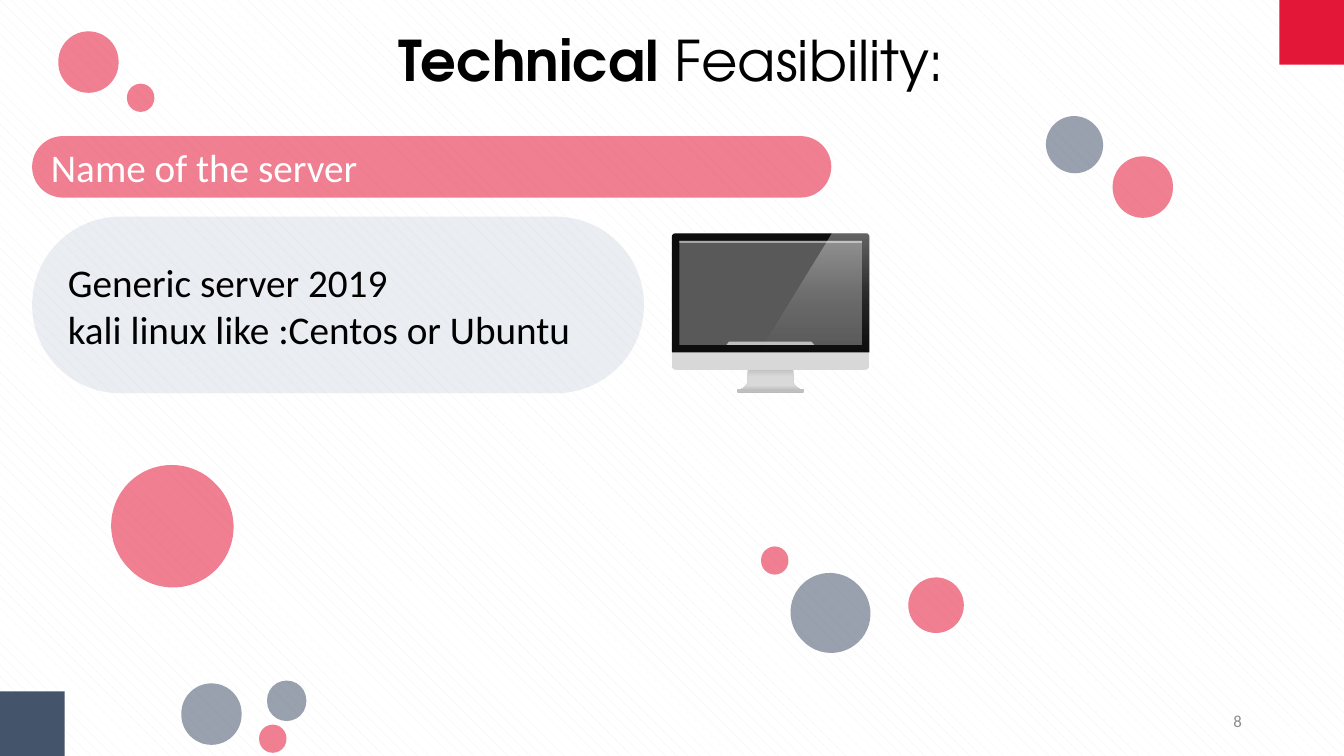
from dataclasses import dataclass

from lxml import etree
from pptx import Presentation
from pptx import util as u
from pptx.dml.color import RGBColor
from pptx.enum import dml, shapes, text
from pptx.oxml.ns import qn


@dataclass(frozen=True)
class Theme:
    """Colours, fonts and type sizes of the slide."""
    red: str = "E31737"
    slate: str = "44546A"
    mist: str = "ADB9CA"
    ink: str = "000000"
    paper: str = "FFFFFF"
    weave: str = "F2F2F2"
    muted: str = "8C8C8C"
    bezel: str = "0D0D0D"
    screen: str = "595959"
    highlight: str = "A6A6A6"
    sill: str = "BDBFC1"
    neck: tuple = ((0, "BFBFBF", 100), (37, "D9D9D9", 100), (77, "D9D9D9", 100), (100, "BFBFBF", 100))
    base: tuple = ((0, "A6A6A6", 100), (44, "D9D9D9", 100), (100, "A6A6A6", 100))
    case: tuple = ((0, "D8D8D8", 100), (50, "E5E5E5", 100), (100, "F2F2F2", 100))
    glare: tuple = ((0, "FFFFFF", 36), (50, "FFFFFF", 13), (100, "FFDDDE", 0))
    heading_font: str = "TeX Gyre Adventor"
    body_font: str = "Calibri"
    heading_size: int = 40
    body_size: int = 28
    number_size: int = 12
    veil: int = 55
    panel_veil: int = 25


class Board:
    """Draws styled elements on the current slide."""

    def __init__(self, slide, theme):
        self.slide = slide
        self.theme = theme
        self.canvas = slide.shapes

    def apply(self, target, formats):
        """Set each format value on the target."""
        for key, value in formats.items():
            setattr(target, key, value)

    def backdrop(self):
        """Weave the background pattern."""
        fill = self.slide.background.fill
        fill.patterned()
        fill.pattern = dml.MSO_PATTERN.SHINGLE
        fill.fore_color.rgb = RGBColor.from_string(self.theme.weave)
        fill.back_color.rgb = RGBColor.from_string(self.theme.paper)

    def paint(self, shape, colour, alpha=100, angle=270):
        """Fill with one colour, or with a gradient when given stops."""
        shape.shadow.inherit = False
        shape.line.fill.background()
        if isinstance(colour, str):
            shape.fill.solid()
            shape.fill.fore_color.rgb = RGBColor.from_string(colour)
            if alpha < 100:
                tint = shape.element.spPr.find(".//" + qn("a:srgbClr"))
                etree.SubElement(tint, qn("a:alpha"), val=str(alpha * 1000))
            return shape
        shape.fill.gradient()
        shape.fill.gradient_angle = angle
        stops = shape.element.spPr.find(".//" + qn("a:gsLst"))
        for default in list(stops):
            stops.remove(default)
        for place, tone, opacity in colour:
            stop = etree.SubElement(stops, qn("a:gs"), pos=str(place * 1000))
            tint = etree.SubElement(stop, qn("a:srgbClr"), val=tone)
            etree.SubElement(tint, qn("a:alpha"), val=str(opacity * 1000))
        return shape

    def block(self, box, colour, corners=(), alpha=100, angle=270, rotation=0,
              kind=shapes.MSO_SHAPE.RECTANGLE):
        """Draw a preset shape with its corner values."""
        shape = self.canvas.add_shape(kind, *map(u.Cm, box))
        for index, corner in enumerate(corners):
            shape.adjustments[index] = corner
        shape.rotation = rotation
        return self.paint(shape, colour, alpha, angle)

    def pill(self, box, colour, alpha, rotation=0):
        """Draw a fully rounded, see-through shape."""
        return self.block(box, colour, (0.5,), alpha, rotation=rotation,
                          kind=shapes.MSO_SHAPE.ROUNDED_RECTANGLE)

    def outline(self, points, colour):
        """Draw a closed outline through the points."""
        start, *others = [(u.Cm(x), u.Cm(y)) for x, y in points]
        builder = self.canvas.build_freeform(*start)
        builder.add_line_segments(others, close=True)
        return self.paint(builder.convert_to_shape(), colour)

    def label(self, box):
        """Add an empty text box."""
        return self.canvas.add_textbox(*map(u.Cm, box))

    def typeset(self, shape, lines, colour, size, font, align, frame_formats=None):
        """Set lines made of (wording, bold) runs."""
        frame = shape.text_frame
        self.apply(frame, {"word_wrap": True, "vertical_anchor": text.MSO_ANCHOR.MIDDLE,
                           **(frame_formats or {})})
        for index, line in enumerate(lines):
            paragraph = frame.add_paragraph() if index else frame.paragraphs[0]
            paragraph.alignment = align
            for wording, bold in line:
                run = paragraph.add_run()
                run.text = wording
                self.apply(run.font, {"name": font, "size": u.Pt(size), "bold": bold})
                run.font.color.rgb = RGBColor.from_string(colour)

    def monitor(self):
        """Draw the desktop screen as one group."""
        look, preset = self.theme, shapes.MSO_SHAPE
        self.canvas = self.slide.shapes.add_group_shape().shapes
        flare = [(19.99, 9.3), (19.99, 9.55), (20.01, 9.67), (20.07, 9.75), (20.16, 9.81), (20.27, 9.83)]
        axis = 19.42
        self.outline(flare + [(2 * axis - x, y) for x, y in reversed(flare)], look.neck)
        self.block((18.57, 9.83, 1.7, 0.05), look.base, (0.5,), kind=preset.ROUNDED_RECTANGLE)
        self.block((16.93, 5.88, 4.98, 3.44), look.case, (0.03,), angle=90,
                   kind=preset.ROUNDED_RECTANGLE)
        self.block((16.93, 5.88, 4.98, 3), look.bezel, (0.03, 0),
                   kind=preset.ROUND_2_SAME_RECTANGLE)
        self.block((17.12, 6.07, 4.6, 2.62), look.screen)
        self.block((17.12, 6.07, 4.6, 0.05), look.highlight)
        self.outline([(18.37, 8.61), (20.45, 8.61), (20.52, 8.69), (18.31, 8.69)], look.sill)
        self.outline([(20.96, 5.88), (21.82, 5.88), (21.88, 5.91), (21.91, 5.97),
                      (21.91, 8.81), (19.18, 8.81)], look.glare)
        self.canvas = self.slide.shapes


def main():
    """Build and save the slide."""
    deck = Presentation()
    deck.slide_width, deck.slide_height = u.Cm(33.87), u.Cm(19.05)
    look = Theme()
    board = Board(deck.slides.add_slide(deck.slide_layouts[6]), look)
    board.backdrop()
    left, center, right = text.PP_ALIGN.LEFT, text.PP_ALIGN.CENTER, text.PP_ALIGN.RIGHT

    corner = 1.63
    board.block((33.87 - corner, 0, corner, corner), look.red)
    board.block((0, 19.05 - corner, corner, corner), look.slate)

    heading = board.label((4.06, 0.64, 25.73, 1.7))
    margins = {f"margin_{side}": 0 for side in ("left", "top", "right", "bottom")}
    board.typeset(heading, [[("Technical ", True), ("Feasibility:", False)]], look.ink,
                  look.heading_size, look.heading_font, center,
                  {**margins, "auto_size": text.MSO_AUTO_SIZE.SHAPE_TO_FIT_TEXT})

    banner = board.pill((0.81, 3.43, 20.14, 1.55), look.red, look.veil)
    board.typeset(banner, [[("Name of the server", False)]], look.paper,
                  look.body_size, look.body_font, left)
    systems = board.pill((0.81, 5.46, 15.42, 4.45), look.mist, look.panel_veil)
    board.typeset(systems, [[("Generic server 2019", False)],
                            [("kali linux like :Centos or Ubuntu", False)]],
                  look.ink, look.body_size, look.body_font, left)

    number = board.label((23.93, 17.65, 7.62, 1.02))
    board.typeset(number, [[("8", False)]], look.muted, look.number_size, look.body_font, right)

    small, medium, tilt = (0.69, 0.71), (1.52, 1.55), 316.1
    bubbles = [
        ((28.04, 3.94), medium, look.red, 0),
        ((4.57, 17.22), medium, look.slate, 0),
        ((6.53, 18.26), small, look.red, 0),
        ((6.73, 17.15), (0.99, 1.02), look.slate, 0),
        ((2.82, 11.71), (3.05, 3.1), look.red, tilt),
        ((26.37, 2.92), (1.42, 1.45), look.slate, tilt),
        ((22.89, 14.55), (1.4, 1.4), look.red, tilt),
        ((19.94, 14.43), (1.98, 2.03), look.slate, tilt),
        ((19.18, 13.77), small, look.red, 0),
        ((1.47, 0.79), medium, look.red, 0),
        ((3.2, 2.11), small, look.red, 0),
    ]
    for place, extent, colour, rotation in bubbles:
        board.pill(place + extent, colour, look.veil, rotation)

    board.monitor()
    deck.save("out.pptx")


if __name__ == "__main__":
    main()
